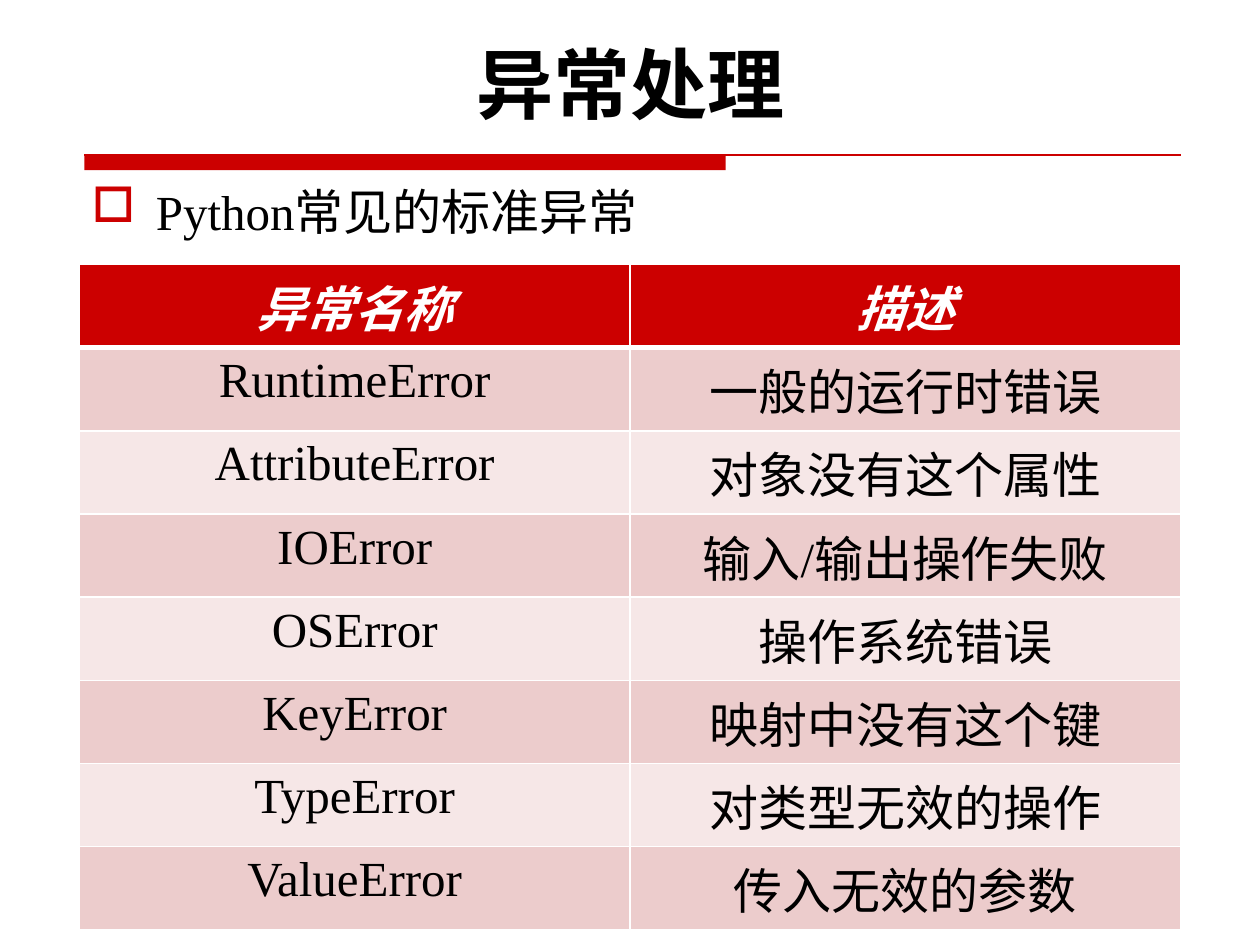
from lxml import etree
from pptx import Presentation
from pptx.dml.color import RGBColor
from pptx.enum import shapes, text
from pptx.oxml import ns
from pptx.util import Inches, Pt

ROWS = [
    ("异常名称", "描述"),
    ("RuntimeError", "一般的运行时错误"),
    ("AttributeError", "对象没有这个属性"),
    ("IOError", "输入/输出操作失败"),
    ("OSError", "操作系统错误"),
    ("KeyError", "映射中没有这个键"),
    ("TypeError", "对类型无效的操作"),
    ("ValueError", "传入无效的参数"),
]


def rgb(value):
    return RGBColor.from_string(value)


def add_xml(parent, tag, **attrs):
    return etree.SubElement(parent, ns.qn(tag), attrs)


class Deck:
    RED, BLACK, WHITE = "CC0000", "000000", "FFFFFF"
    BANDS = ("F6E7E7", "ECCCCC")
    HEAD_FONT, BODY_FONT = "Cabin", "Times New Roman"

    def __init__(self, prs):
        self.s = prs.slides.add_slide(prs.slide_layouts[5])

    def format(self, p, size, color, font=BODY_FONT, bold=False, italic=False):
        for r in p.runs:
            f = r.font
            f.size, f.name, f.bold, f.italic = Pt(size), font, bold, italic
            f.color.rgb = rgb(color)

    def title(self, words, x, y, w, h):
        sp = self.s.shapes.title
        sp.left, sp.top, sp.width, sp.height = map(Inches, (x, y, w, h))
        tf = sp.text_frame
        tf.text = words
        tf.auto_size = text.MSO_AUTO_SIZE.NONE
        tf.vertical_anchor = text.MSO_ANCHOR.BOTTOM
        p = tf.paragraphs[0]
        p.alignment = text.PP_ALIGN.CENTER
        self.format(p, 44, self.BLACK, self.HEAD_FONT, bold=True)

    def bar(self, x, y, w, h):
        sp = self.s.shapes.add_shape(shapes.MSO_SHAPE.RECTANGLE,
                                     *map(Inches, (x, y, w, h)))
        sp.shadow.inherit = False
        sp.fill.solid()
        sp.fill.fore_color.rgb = rgb(self.RED)
        sp.line.fill.background()

    def rule(self, x, y, w):
        line = self.s.shapes.add_connector(shapes.MSO_CONNECTOR.STRAIGHT,
                                           *map(Inches, (x, y, x + w, y)))
        line.line.color.rgb = rgb(self.RED)
        line.line.width = Pt(0.75)
        add_xml(line._element.spPr, "a:effectLst")

    def bullet(self, words, x, y, w, h):
        tf = self.s.shapes.add_textbox(*map(Inches, (x, y, w, h))).text_frame
        tf.word_wrap = True
        p = tf.paragraphs[0]
        p.text = words
        pPr = p._p.get_or_add_pPr()
        indent = Inches(0.51)
        pPr.set("marL", str(indent))
        pPr.set("indent", str(-indent))
        add_xml(add_xml(pPr, "a:buClr"), "a:srgbClr", val=self.RED)
        add_xml(pPr, "a:buChar", char="□")
        self.format(p, 28, self.BLACK)

    def borders(self, cell, bottom):
        tcPr = cell._tc.get_or_add_tcPr()
        for i, (side, width) in enumerate(
                (("L", 1), ("R", 1), ("T", 1), ("B", bottom))):
            ln = etree.Element(ns.qn("a:ln" + side), w=str(Pt(width)))
            add_xml(add_xml(ln, "a:solidFill"), "a:srgbClr", val=self.WHITE)
            tcPr.insert(i, ln)

    def table(self, rows, x, y, w, row_h):
        frame = self.s.shapes.add_table(
            len(rows), len(rows[0]),
            *map(Inches, (x, y, w, row_h * len(rows))))
        for i, row in enumerate(rows):
            head = i == 0
            for j, words in enumerate(row):
                cell = frame.table.cell(i, j)
                cell.text = words
                cell.fill.solid()
                cell.fill.fore_color.rgb = rgb(
                    self.RED if head else self.BANDS[i % 2])
                self.borders(cell, 3 if head else 1)
                p = cell.text_frame.paragraphs[0]
                p.alignment = text.PP_ALIGN.CENTER
                self.format(p, 28, self.WHITE if head else self.BLACK,
                            bold=head, italic=head)


def main():
    prs = Presentation()
    prs.slide_width, prs.slide_height = Inches(10), Inches(7.5)
    deck = Deck(prs)

    # Heading with its two-weight rule
    deck.bar(0.67, 1.23, 5.09, 0.12)
    deck.rule(0.67, 1.23, 8.7)
    deck.title("异常处理", 0.63, 0.33, 8.75, 0.74)

    # Lead-in and table of exceptions
    deck.bullet("Python常见的标准异常", 0.63, 1.39, 9.26, 0.74)
    deck.table(ROWS, 0.63, 2.1, 8.74, 0.66)

    prs.save("out.pptx")


if __name__ == "__main__":
    main()
